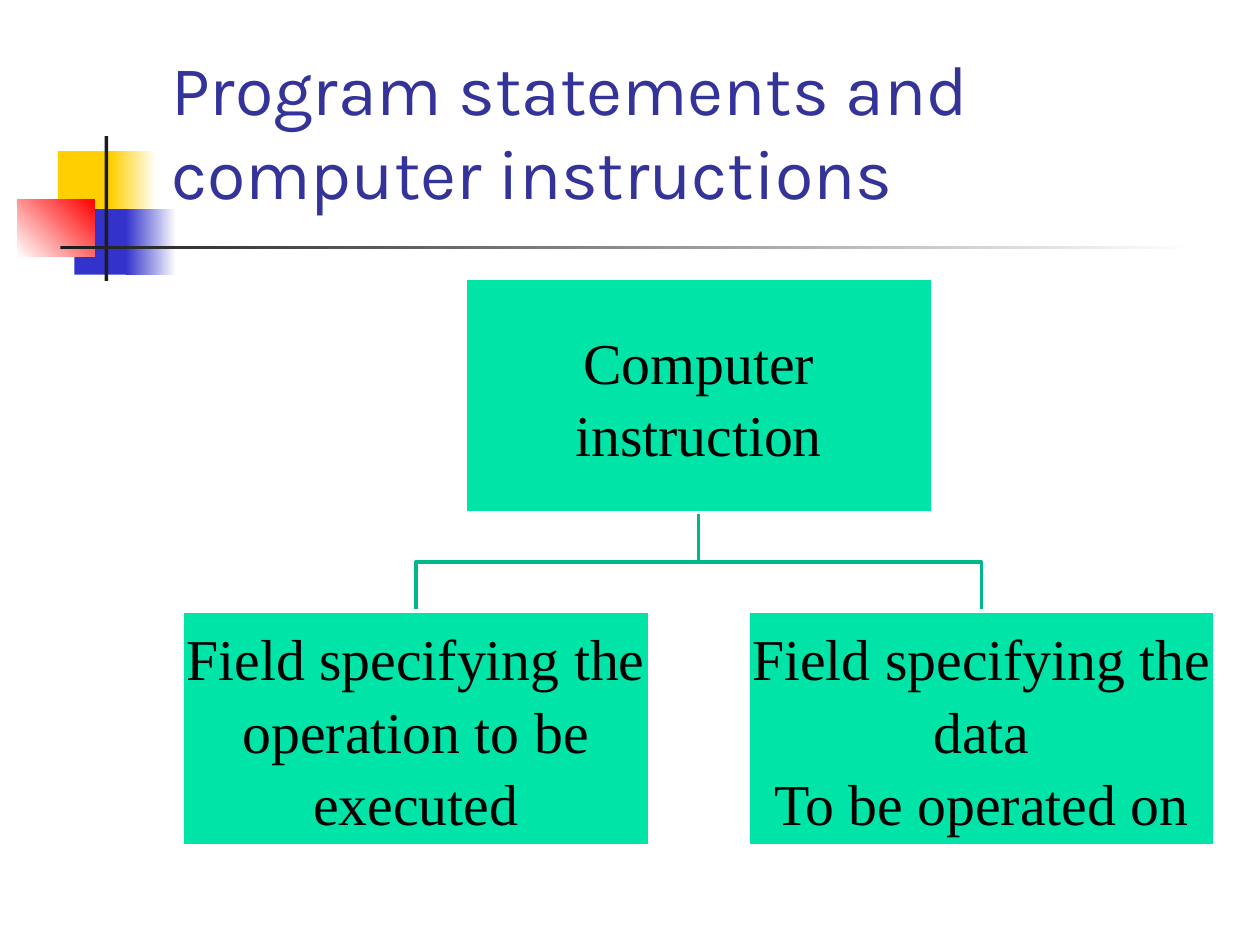
"""Build the slide on the two fields of a computer instruction."""
from pptx import Presentation
from pptx.dml.color import RGBColor
from pptx.enum.shapes import MSO_SHAPE
from pptx.enum.text import MSO_ANCHOR, PP_ALIGN
from pptx.util import Inches, Pt

COLORS = {
    "yellow": "FFCF01", "blue": "3333CC", "red": "FF0000", "dark": "1C1C1C",
    "white": "FFFFFF", "title": "333399", "box": "00E4A8", "link": "00B787",
    "text": "000000",
}


def rgb(name):
    return RGBColor.from_string(COLORS[name])


def add_rect(left, top, width, height, start, end=None, angle=0):
    rect = slide.shapes.add_shape(
        MSO_SHAPE.RECTANGLE, Inches(left), Inches(top), Inches(width), Inches(height))
    rect.shadow.inherit = False
    rect.line.fill.background()
    if end:
        rect.fill.gradient()
        rect.fill.gradient_angle = angle
        for stop, name in zip(rect.fill.gradient_stops, (start, end)):
            stop.color.rgb = rgb(name)
    else:
        rect.fill.solid()
        rect.fill.fore_color.rgb = rgb(start)
    return rect


presentation = Presentation()
presentation.slide_width, presentation.slide_height = Inches(10), Inches(7.5)
slide = presentation.slides.add_slide(presentation.slide_layouts[6])

for ornament in [
    (0.46, 1.2, 0.48, 0.52, "yellow"),
    (0.88, 1.2, 0.36, 0.52, "yellow", "white"),
    (0.59, 1.66, 0.46, 0.52, "blue"),
    (1, 1.66, 0.4, 0.52, "blue", "white"),
    (0.14, 1.58, 0.61, 0.46, "white", "red", 45),
    (0.83, 1.08, 0.03, 1.15, "dark"),
    (0.48, 1.95, 9, 0.03, "dark", "white"),
]:
    add_rect(*ornament)

title = slide.shapes.add_textbox(Inches(1.26), Inches(0.23), Inches(8.52), Inches(1.6)).text_frame
title.word_wrap = True
title.vertical_anchor = MSO_ANCHOR.MIDDLE
title.text = "Program statements and computer instructions"
title_font = title.paragraphs[0].runs[0].font
title_font.name, title_font.size = "Karla", Pt(40)
title_font.color.rgb = rgb("title")

box_width, box_height = 3.71, 1.86
root_left, root_top = 3.69, 2.21
field_top, field_offset = 4.85, 2.245
root_center, root_bottom = root_left + box_width / 2, root_top + box_height
branch_y = (root_bottom + field_top) / 2

for side in (1, -1):
    field_center = root_center + side * field_offset
    builder = slide.shapes.build_freeform(Inches(root_center), Inches(root_bottom))
    builder.add_line_segments(
        [(Inches(x), Inches(y)) for x, y in (
            (root_center, branch_y), (field_center, branch_y), (field_center, field_top))],
        close=False)
    branch = builder.convert_to_shape()
    branch.shadow.inherit = False
    branch.fill.background()
    branch.line.color.rgb = rgb("link")
    branch.line.width = Pt(2)

for left, top, wording in [
    (root_left, root_top, "Computer instruction"),
    (root_left - field_offset, field_top, "Field specifying the\noperation to be executed"),
    (root_left + field_offset, field_top, "Field specifying the data\nTo be operated on"),
]:
    box = add_rect(left, top, box_width, box_height, "box")
    box.line.color.rgb = rgb("white")
    box.line.width = Pt(2)
    frame = box.text_frame
    frame.word_wrap = True
    frame.vertical_anchor = MSO_ANCHOR.MIDDLE
    frame.margin_left = frame.margin_right = Inches(0.02)
    frame.margin_top = frame.margin_bottom = Inches(0.02)
    frame.text = wording
    for paragraph in frame.paragraphs:
        paragraph.alignment = PP_ALIGN.CENTER
        paragraph.line_spacing = 1.05
        font = paragraph.runs[0].font
        font.name, font.size = "Times New Roman", Pt(33)
        font.color.rgb = rgb("text")

presentation.save("out.pptx")
